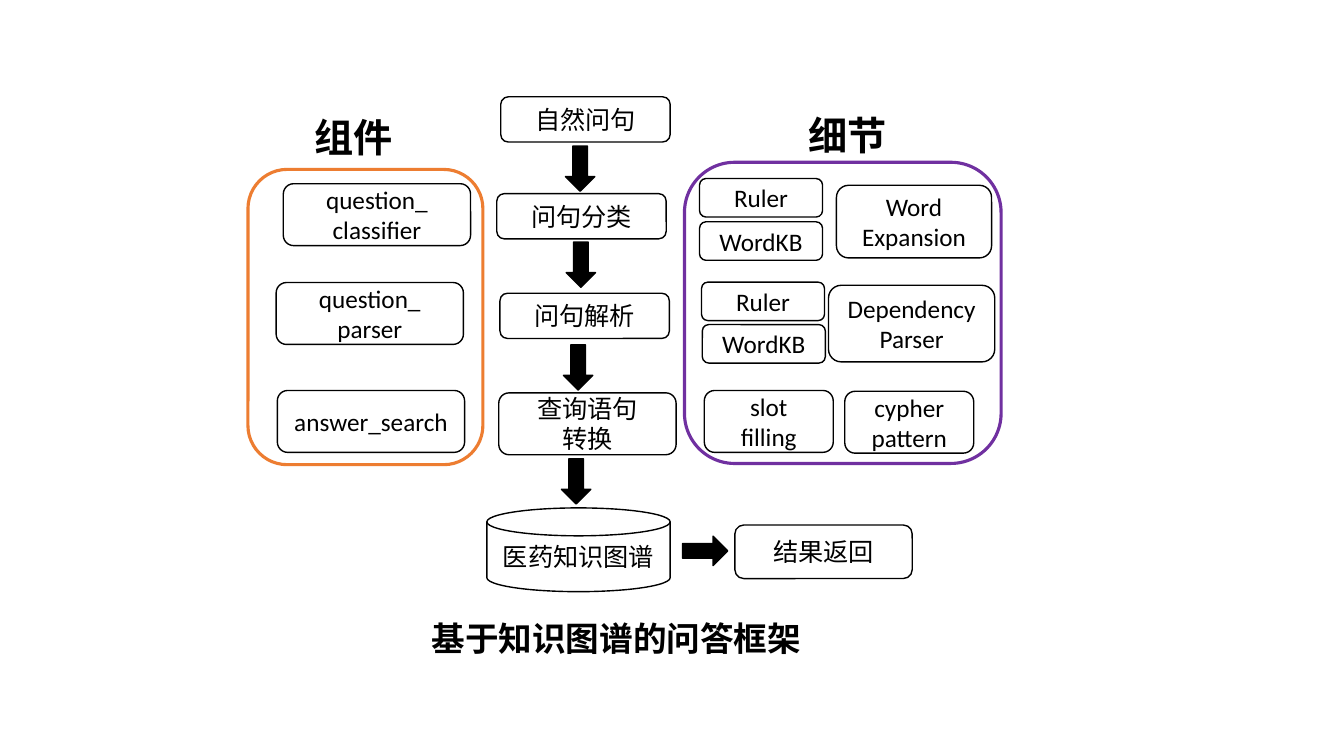
from dataclasses import dataclass
from typing import NamedTuple

from pptx import Presentation
from pptx.dml.color import RGBColor
from pptx.enum import shapes, text
from pptx.util import Cm, Pt


@dataclass(frozen=True)
class Theme:
    font: str = "Calibri"
    ink: RGBColor = RGBColor(0, 0, 0)
    paper: RGBColor = RGBColor(255, 255, 255)
    component: RGBColor = RGBColor(0xED, 0x7D, 0x31)
    detail: RGBColor = RGBColor(0x70, 0x30, 0xA0)
    box_size: Pt = Pt(18)
    caption_size: Pt = Pt(24)
    heading_size: Pt = Pt(28)
    thin: Pt = Pt(1)
    thick: Pt = Pt(2.25)


class Size(NamedTuple):
    width: float
    height: float


class Box(NamedTuple):
    label: str
    left: float
    top: float
    size: Size
    kind: shapes.MSO_SHAPE = shapes.MSO_SHAPE.ROUNDED_RECTANGLE


class Arrow(NamedTuple):
    left: float
    top: float
    rotation: int = 0


class Frame(NamedTuple):
    left: float
    top: float
    size: Size
    color: RGBColor


class Heading(NamedTuple):
    label: str
    left: float
    top: float


THEME = Theme()
TWO_LINES = 1.56  # least height that holds two lines of box text
STEP = Size(4.27, 1.14)
COMPONENT, TAG, PATTERN = Size(4.72, TWO_LINES), Size(3.1, 0.97), Size(3.25, TWO_LINES)
ARROW, HEADING, CAPTION = Size(0.74, 1.14), Size(2.49, 1.45), Size(9.83, 1.27)

FRAMES = [
    Frame(6.25, 4.27, Size(5.92, 7.44), THEME.component),
    Frame(17.25, 4.09, Size(7.98, 7.59), THEME.detail),
]
HEADINGS = [Heading("组件", 7.67, 2.74), Heading("细节", 20.12, 2.67)]
BOXES = [
    # Main flow
    Box("自然问句", 12.62, 2.44, STEP),
    Box("问句分类", 12.52, 4.88, STEP),
    Box("问句解析", 12.6, 7.39, STEP),
    Box("查询语句\n转换", 12.57, 9.9, Size(4.47, TWO_LINES)),
    Box("医药知识图谱", 12.27, 12.8, Size(4.62, 2.11),
        shapes.MSO_SHAPE.FLOWCHART_MAGNETIC_DISK),
    Box("结果返回", 18.52, 13.23, Size(4.47, 1.35)),
    # Components
    Box("question_\nclassifier", 7.14, 4.63, COMPONENT),
    Box("question_\nparser", 6.96, 7.12, COMPONENT),
    Box("answer_search", 6.99, 9.84, COMPONENT),
    # Details
    Box("Ruler", 17.63, 4.5, TAG),
    Box("WordKB", 17.63, 5.59, TAG),
    Box("Word\nExpansion", 21.08, 4.67, Size(3.91, 1.83)),
    Box("Ruler", 17.68, 7.11, TAG),
    Box("WordKB", 17.7, 8.18, TAG),
    Box("Dependency\nParser", 20.88, 7.19, Size(4.19, 1.93)),
    Box("slot\nfilling", 17.75, 9.84, PATTERN),
    Box("cypher\npattern", 21.29, 9.86, PATTERN),
]
ARROWS = [
    Arrow(14.25, 3.68),
    Arrow(14.27, 6.1),
    Arrow(14.2, 8.69),
    Arrow(14.15, 11.56),
    Arrow(17.4, 13.31, rotation=270),
]


def write(shape, label: str, size: Pt, alignment: text.PP_ALIGN, bold: bool = False) -> None:
    shape.text_frame.text = label
    for paragraph in shape.text_frame.paragraphs:
        paragraph.alignment = alignment
        paragraph.font.name = THEME.font
        paragraph.font.size = size
        paragraph.font.bold = bold
        paragraph.font.color.rgb = THEME.ink


def add_outlined(slide, kind: shapes.MSO_SHAPE, left: float, top: float, size: Size,
                 fill: RGBColor | None, line: RGBColor, weight: Pt):
    """Add a shadowless preset shape; a fill of None leaves it open."""
    shape = slide.shapes.add_shape(kind, Cm(left), Cm(top), Cm(size.width), Cm(size.height))
    shape.shadow.inherit = False
    if fill is None:
        shape.fill.background()
    else:
        shape.fill.solid()
        shape.fill.fore_color.rgb = fill
    shape.line.color.rgb = line
    shape.line.width = weight
    return shape


def add_frame(slide, frame: Frame) -> None:
    add_outlined(slide, shapes.MSO_SHAPE.ROUNDED_RECTANGLE, frame.left, frame.top,
                 frame.size, None, frame.color, THEME.thick)


def add_box(slide, box: Box) -> None:
    shape = add_outlined(slide, box.kind, box.left, box.top, box.size,
                         THEME.paper, THEME.ink, THEME.thin)
    shape.text_frame.vertical_anchor = text.MSO_ANCHOR.MIDDLE
    shape.text_frame.margin_top = shape.text_frame.margin_bottom = Cm(0)
    write(shape, box.label, THEME.box_size, text.PP_ALIGN.CENTER)


def add_arrow(slide, arrow: Arrow) -> None:
    shape = add_outlined(slide, shapes.MSO_SHAPE.DOWN_ARROW, arrow.left, arrow.top,
                         ARROW, THEME.ink, THEME.ink, THEME.thin)
    shape.rotation = arrow.rotation


def format_label(shape, label: str, size: Pt) -> None:
    """Write bold text on one line, starting at the shape's top left."""
    write(shape, label, size, text.PP_ALIGN.LEFT, bold=True)
    shape.text_frame.word_wrap = False
    shape.text_frame.auto_size = text.MSO_AUTO_SIZE.SHAPE_TO_FIT_TEXT
    shape.text_frame.vertical_anchor = text.MSO_ANCHOR.TOP


def add_heading(slide, heading: Heading) -> None:
    shape = slide.shapes.add_textbox(Cm(heading.left), Cm(heading.top),
                                     Cm(HEADING.width), Cm(HEADING.height))
    format_label(shape, heading.label, THEME.heading_size)


def place_title(slide) -> None:
    title = slide.shapes.title
    title.left, title.top = Cm(10.62), Cm(15.44)
    title.width, title.height = Cm(CAPTION.width), Cm(CAPTION.height)
    format_label(title, "基于知识图谱的问答框架", THEME.caption_size)


def main() -> None:
    presentation = Presentation()
    presentation.slide_width, presentation.slide_height = Cm(33.87), Cm(19.05)
    slide = presentation.slides.add_slide(presentation.slide_layouts.get_by_name("Title Only"))
    place_title(slide)
    for frame in FRAMES:
        add_frame(slide, frame)
    for heading in HEADINGS:
        add_heading(slide, heading)
    for box in BOXES:
        add_box(slide, box)
    for arrow in ARROWS:
        add_arrow(slide, arrow)
    presentation.save("out.pptx")


if __name__ == "__main__":
    main()
